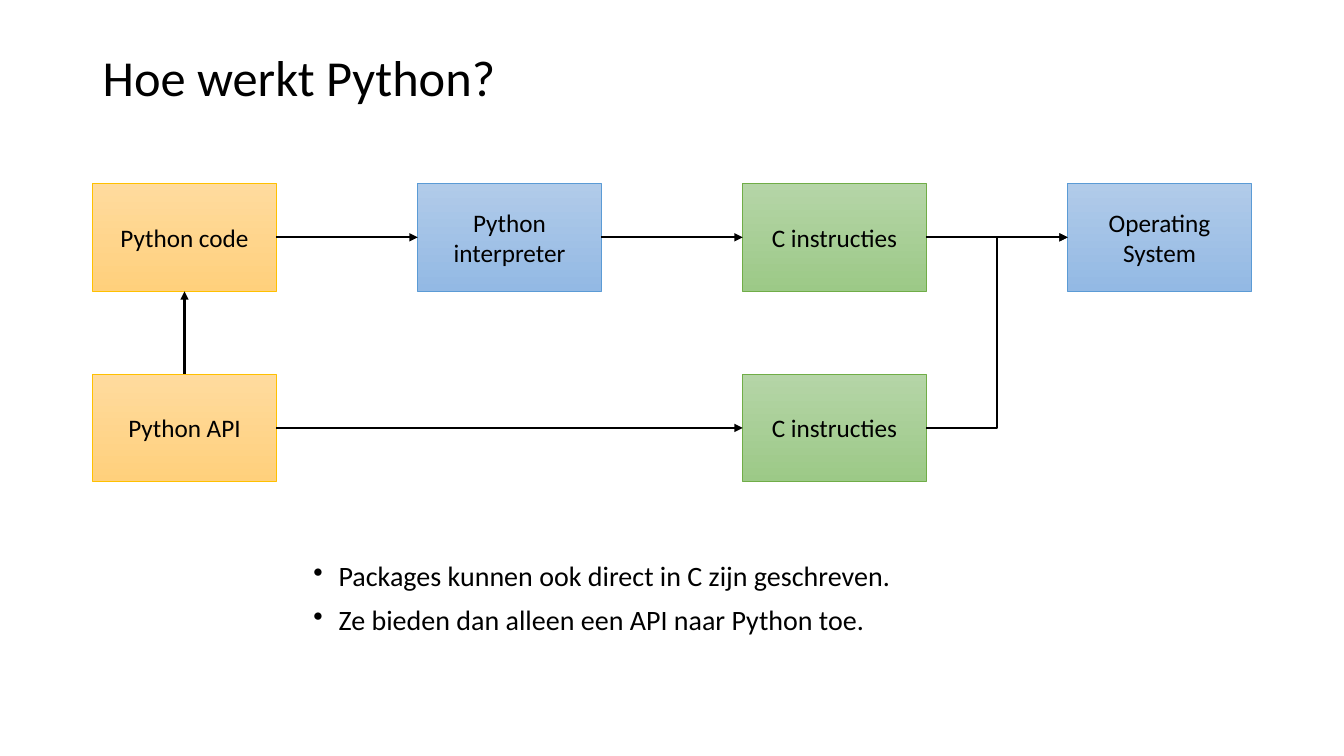
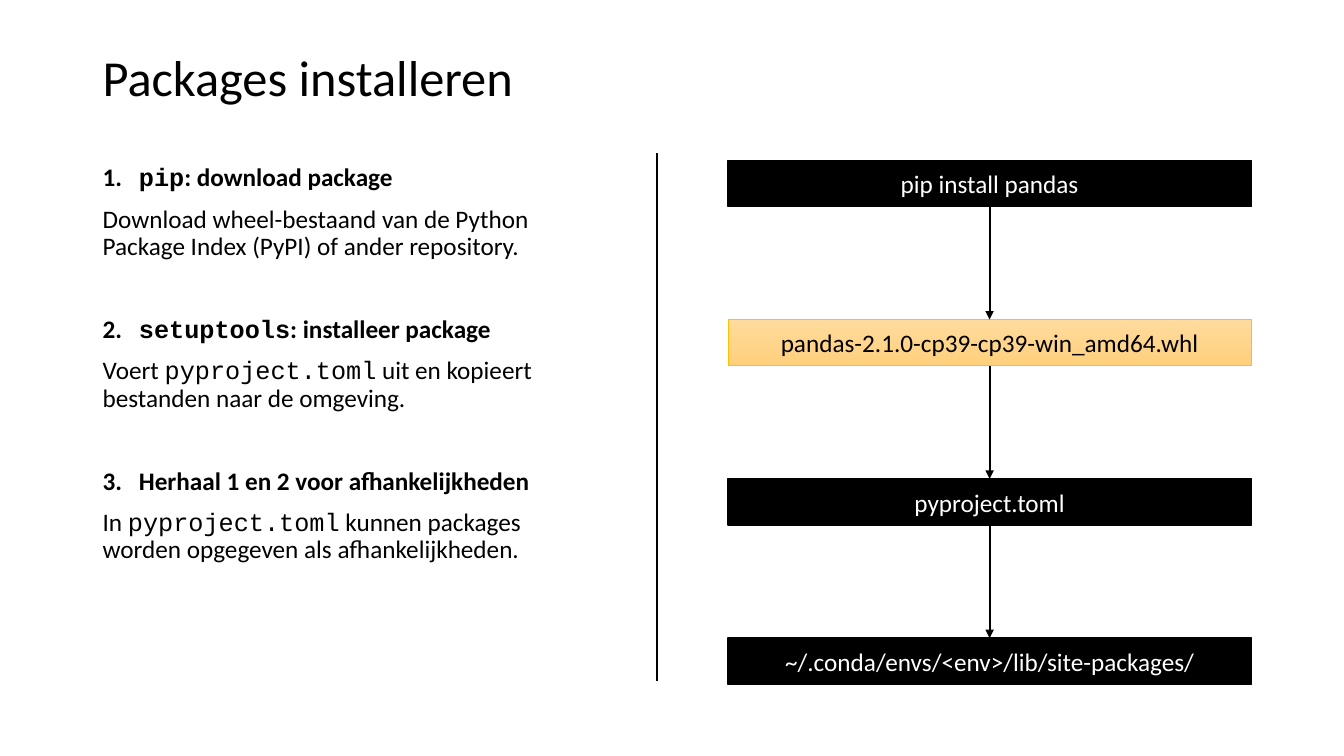
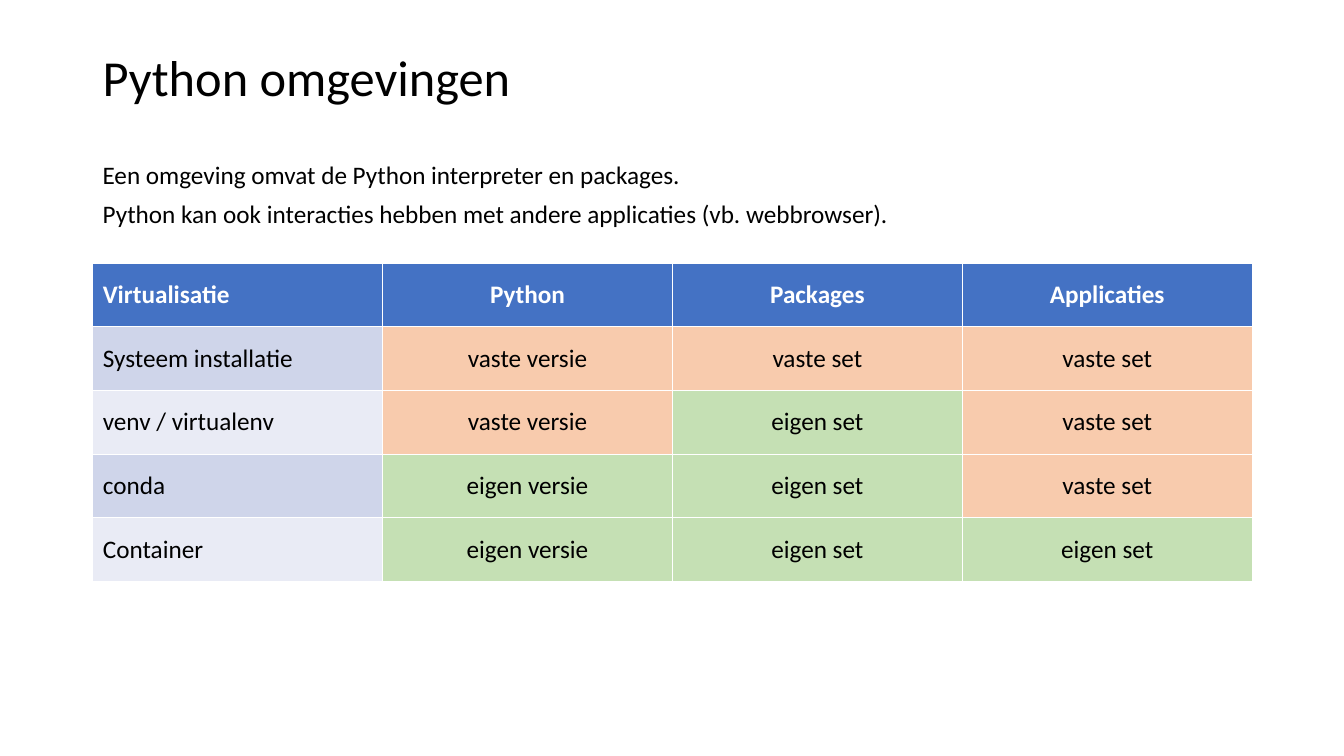
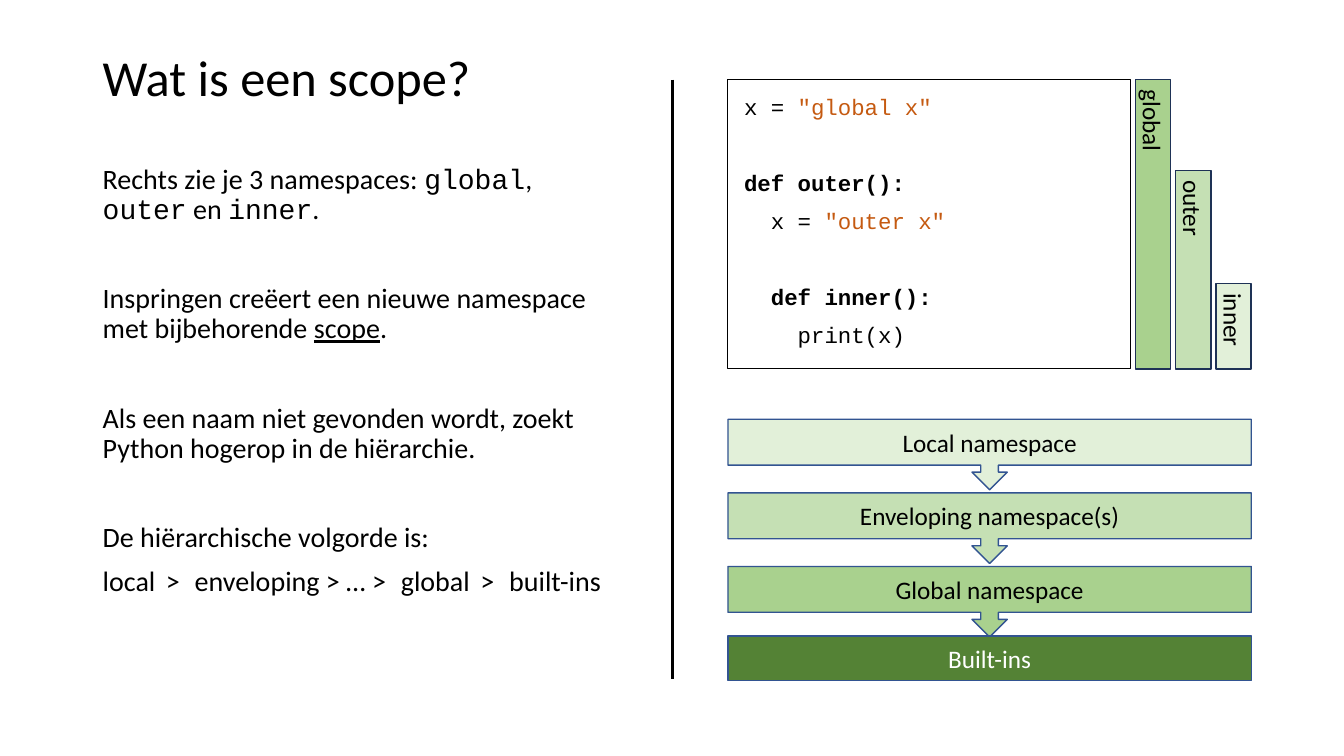
from lxml.etree import SubElement
from pptx import Presentation
from pptx.dml.color import RGBColor
from pptx.enum.shapes import MSO_CONNECTOR, MSO_SHAPE
from pptx.enum.text import MSO_ANCHOR, PP_ALIGN
from pptx.oxml.ns import qn
from pptx.util import Inches, Pt

INK = {
    "black": "000000", "white": "FFFFFF", "brown": "C55A11",
    "gold": "FFC000", "gold top": "FFDB9E", "gold low": "FFD07C",
    "blue": "5B9BD5", "blue top": "B1CBE9", "blue low": "93B9E4",
    "green": "70AD47", "green top": "B5D5A7", "green low": "9CC987",
    "head": "4472C4", "odd": "CFD5EA", "even": "E9EBF5",
    "fixed": "F8CBAD", "own": "C5E0B4",
    "pale": "E2F0D9", "soft": "C5E0B4", "mid": "A9D18E", "deep": "548235",
    "navy": "325491", "dark": "1E3256",
}
HUE = {name: RGBColor.from_string(code) for name, code in INK.items()}
GOLD = (("gold top", "gold low"), "gold", 0.5)
BLUE = (("blue top", "blue low"), "blue", 0.5)
GREEN = (("green top", "green low"), "green", 0.5)
BLACK = (("black",), "black", 1)
FRAME = ((), "black", 0.75)
LEFT = 0.92
SIDE = 7.22
WIDE = 5.19
FULL = 11.5


def write(frame, paras, size=18, ink="black", align=None, lead=1, face="Calibri", list_mark=None):
    frame.word_wrap = True
    for i, (gap, runs) in enumerate(paras):
        para = frame.paragraphs[0] if i == 0 else frame.add_paragraph()
        props = para._p.get_or_add_pPr()
        if list_mark:
            props.set("marL", str(Inches(0.25)))
            props.set("indent", str(-Inches(0.25)))
            SubElement(props, qn("a:buChar")).set("char", list_mark)
        if "\t" in runs[0][0]:
            stop = SubElement(SubElement(props, qn("a:tabLst")), qn("a:tab"))
            stop.set("pos", str(Inches(0.36)))
            stop.set("algn", "l")
        para.alignment = align
        para.line_spacing = lead
        para.space_before = Pt(gap if i else 0)
        for text, marks in runs:
            run = para.add_run()
            run.text = text
            font = run.font
            font.name = "Courier New" if "m" in marks else face
            font.size = Pt(size)
            font.bold = "b" in marks
            font.underline = "u" in marks
            font.color.rgb = HUE["brown" if "s" in marks else ink]
            if "w" in marks:
                run._r.get_or_add_rPr().set("spc", "300")


def block(page, at, text, skin, ink="black", kind=MSO_SHAPE.RECTANGLE, align=PP_ALIGN.CENTER):
    shape = page.shapes.add_shape(kind, *map(Inches, at))
    shape.shadow.inherit = False
    fills, edge, width = skin
    if len(fills) == 2:
        shape.fill.gradient()
        shape.fill.gradient_angle = 270
        for stop, name in zip(shape.fill.gradient_stops, fills):
            stop.color.rgb = HUE[name]
    elif fills:
        shape.fill.solid()
        shape.fill.fore_color.rgb = HUE[fills[0]]
    else:
        shape.fill.background()
    shape.line.color.rgb = HUE[edge]
    shape.line.width = Pt(width)
    shape.text_frame.vertical_anchor = MSO_ANCHOR.MIDDLE
    if text:
        write(shape.text_frame, [(0, [(text, "")])], ink=ink, align=align)
    return shape


deck = Presentation()
deck.slide_width = Inches(13.33)
deck.slide_height = Inches(7.5)
pages = []
for title in ("Hoe werkt Python?", "Packages installeren", "Python omgevingen", "Wat is een scope?"):
    page = deck.slides.add_slide(deck.slide_layouts[6])
    frame = page.shapes.add_textbox(Inches(LEFT), Inches(0.4), Inches(FULL), Inches(0.79)).text_frame
    frame.vertical_anchor = MSO_ANCHOR.MIDDLE
    write(frame, [(0, [(title, "")])], size=36, lead=0.9)
    pages.append(page)
work, setup, envs, scope = pages
links = []

step = 9.67 / 3
nodes = {}
for col, row, text, skin in (
    (0, 0, "Python code", GOLD),
    (1, 0, "Python interpreter", BLUE),
    (2, 0, "C instructies", GREEN),
    (3, 0, "Operating System", BLUE),
    (0, 1, "Python API", GOLD),
    (2, 1, "C instructies", GREEN),
):
    at = (LEFT + col * step, 1.82 + row * 1.89, 1.82, 1.07)
    nodes[col, row] = block(work, at, text, skin)
for start, out, end, into in (
    ((0, 0), 3, (1, 0), 1),
    ((1, 0), 3, (2, 0), 1),
    ((2, 0), 3, (3, 0), 1),
    ((0, 1), 0, (0, 0), 2),
    ((0, 1), 3, (2, 1), 1),
    ((2, 1), 3, (3, 0), 1),
):
    links.append((work, nodes[start], out, nodes[end], into))
notes = work.shapes.add_textbox(Inches(3.01), Inches(5.53), Inches(7.3), Inches(1.33))
write(notes.text_frame, [
    (0, [("Packages kunnen ook direct in C zijn geschreven.", "")]),
    (10, [("Ze bieden dan alleen een API naar Python toe.", "")]),
], size=20, lead=0.9, list_mark="•")

steps = setup.shapes.add_textbox(Inches(LEFT), Inches(1.59), Inches(5.16), Inches(5.16))
write(steps.text_frame, [
    (0, [("1.\t", "b"), ("pip", "bm"), (": download package", "b")]),
    (10, [("Download wheel-bestaand van de Python Package Index (PyPI) of ander repository.", "")]),
    (40, [("2.\t", "b"), ("setuptools", "bm"), (": installeer package", "b")]),
    (10, [("Voert ", ""), ("pyproject.toml", "m"), (" uit en kopieert bestanden naar de omgeving.", "")]),
    (40, [("3.\t", "b"), ("Herhaal 1 en 2 voor afhankelijkheden", "b")]),
    (10, [("In ", ""), ("pyproject.toml", "m"),
          (" kunnen packages worden opgegeven als afhankelijkheden.", "")]),
], lead=0.9)
last = None
for i, (text, skin, ink) in enumerate((
    ("pip install pandas", BLACK, "white"),
    ("pandas-2.1.0-cp39-cp39-win_amd64.whl", GOLD, "black"),
    ("pyproject.toml", BLACK, "white"),
    ("~/.conda/envs/<env>/lib/site-packages/", BLACK, "white"),
)):
    bar = block(setup, (SIDE, 1.59 + i * 1.58, WIDE, 0.46), text, skin, ink)
    if last:
        links.append((setup, last, 2, bar, 0))
    last = bar

rows = (
    ("Virtualisatie", "Python", "Packages", "Applicaties"),
    ("Systeem installatie", "vaste versie", "vaste set", "vaste set"),
    ("venv / virtualenv", "vaste versie", "eigen set", "vaste set"),
    ("conda", "eigen versie", "eigen set", "vaste set"),
    ("Container", "eigen versie", "eigen set", "eigen set"),
)
grid = envs.shapes.add_table(5, 4, Inches(LEFT), Inches(2.61), Inches(FULL), Inches(3.16)).table
for r, row in enumerate(rows):
    for c, text in enumerate(row):
        cell = grid.cell(r, c)
        if r == 0:
            fill = "head"
        elif c == 0:
            fill = "odd" if r % 2 else "even"
        else:
            fill = "own" if text.startswith("eigen") else "fixed"
        cell.fill.solid()
        cell.fill.fore_color.rgb = HUE[fill]
        cell.vertical_anchor = MSO_ANCHOR.MIDDLE
        write(cell.text_frame, [(0, [(text, "" if r else "b")])],
              ink="black" if r else "white", align=PP_ALIGN.CENTER if c else PP_ALIGN.LEFT)
intro = envs.shapes.add_textbox(Inches(LEFT), Inches(1.53), Inches(FULL), Inches(0.79))
write(intro.text_frame, [
    (0, [("Een omgeving omvat de Python interpreter en packages.", "")]),
    (6, [("Python kan ook interacties hebben met andere applicaties (vb. webbrowser).", "")]),
])

story = scope.shapes.add_textbox(Inches(LEFT), Inches(1.59), Inches(WIDE), Inches(5.16))
write(story.text_frame, [
    (0, [("Rechts zie je 3 namespaces: ", ""), ("global", "m"), (", ", ""), ("outer", "m"),
         (" en ", ""), ("inner", "m"), (".", "")]),
    (42, [("Inspringen creëert een nieuwe namespace met bijbehorende ", ""), ("scope", "u"), (".", "")]),
    (42, [("Als een naam niet gevonden wordt, zoekt Python hogerop in de hiërarchie.", "")]),
    (42, [("De hiërarchische volgorde is:", "")]),
    (10, [("local", ""), (" > ", "w"), ("enveloping > … ", ""), ("> ", "w"), ("global", ""),
          (" > ", "w"), ("built-ins", "")]),
], size=20, lead=0.9)
code = block(scope, (SIDE, 0.79, 3.99, 2.87), "", FRAME).text_frame
code.vertical_anchor = MSO_ANCHOR.TOP
code.margin_left = code.margin_right = code.margin_top = code.margin_bottom = Inches(0.16)
write(code, [
    (0, [("x = ", ""), ('"global x"', "s")]),
    (37, [("def outer():", "b")]),
    (10, [("  x = ", ""), ('"outer x"', "s")]),
    (37, [("  def inner():", "b")]),
    (10, [("    print(x)", "")]),
], size=16, align=PP_ALIGN.LEFT, lead=0.9, face="Courier New")
for i, (text, top, fill) in enumerate((
    ("global", 0.79, "mid"), ("outer", 1.69, "soft"), ("inner", 2.81, "pale"),
)):
    bar = block(scope, (11.26 + i * 0.4, top, 0.35, 3.66 - top), text, ((fill,), "dark", 1),
                align=PP_ALIGN.LEFT)
    bar.element.txBody.bodyPr.set("vert", "vert")
for i, (text, fill) in enumerate((
    ("Local namespace", "pale"), ("Enveloping namespace(s)", "soft"), ("Global namespace", "mid"),
)):
    block(scope, (SIDE, 4.16 + i * 0.73, WIDE, 0.7), text, ((fill,), "navy", 1),
          kind=MSO_SHAPE.DOWN_ARROW_CALLOUT)
block(scope, (SIDE, 6.31, WIDE, 0.44), "Built-ins", (("deep",), "navy", 1), "white")

lines = []
for page, x, top, end in ((setup, 6.52, 1.52, 6.76), (scope, 6.67, 0.79, 6.74)):
    lines.append(page.shapes.add_connector(
        MSO_CONNECTOR.STRAIGHT, Inches(x), Inches(top), Inches(x), Inches(end)))
for page, start, out, end, into in links:
    bent = out == 3 and start.top != end.top
    kind = MSO_CONNECTOR.ELBOW if bent else MSO_CONNECTOR.STRAIGHT
    line = page.shapes.add_connector(kind, 0, 0, 0, 0)
    line.begin_connect(start, out)
    line.end_connect(end, into)
    SubElement(line.line._get_or_add_ln(), qn("a:tailEnd")).set("type", "triangle")
    lines.append(line)
for line in lines:
    line.line.color.rgb = HUE["black"]
    line.line.width = Pt(1.5)
    SubElement(line.element.spPr, qn("a:effectLst"))

deck.save("out.pptx")
